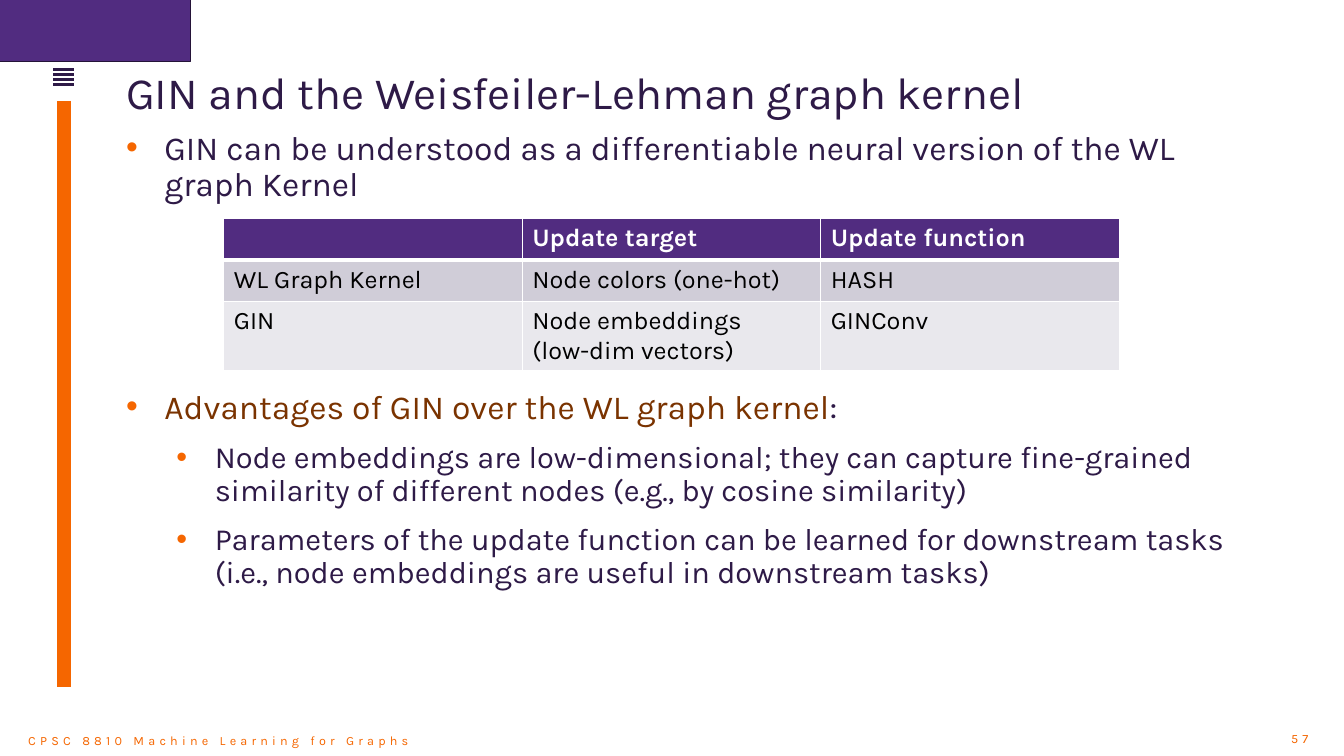
from lxml import etree
from pptx import Presentation
from pptx.dml.color import RGBColor
from pptx.enum.shapes import MSO_CONNECTOR, MSO_SHAPE
from pptx.enum.text import MSO_ANCHOR, MSO_AUTO_SIZE, PP_ALIGN
from pptx.oxml.ns import qn
from pptx.util import Inches, Pt

STRAIGHT = MSO_CONNECTOR.STRAIGHT
RECTANGLE = MSO_SHAPE.RECTANGLE
TOP, MIDDLE = MSO_ANCHOR.TOP, MSO_ANCHOR.MIDDLE
LEFT, CENTER = PP_ALIGN.LEFT, PP_ALIGN.CENTER
NO_AUTOSIZE = MSO_AUTO_SIZE.NONE
FONT = "Karla"
COLORS = {
    "purple": "512C80", "outline": "241338", "ink": "2E1A47", "orange": "F56600",
    "brown": "7A3300", "white": "FFFFFF", "black": "000000",
    "band_dark": "D0CDD8", "band_light": "E9E8ED",
}
ROWS = [
    ["", "Update target", "Update function"],
    ["WL Graph Kernel", "Node colors (one-hot)", "HASH"],
    ["GIN", "Node embeddings\n(low-dim vectors)", "GINConv"],
]
ROW_HEIGHTS = [0.41, 0.41, 0.69]
ROW_FILLS = ["purple", "band_dark", "band_light"]
INTRO = [
    (0, [("GIN can be understood as a differentiable neural version of the WL graph Kernel", "ink")]),
]
ADVANTAGES = [
    (0, [("Advantages of GIN over the WL graph kernel", "brown"), (":", "ink")]),
    (1, [("Node embeddings are low-dimensional; they can capture fine-grained "
          "similarity of different nodes (e.g., by cosine similarity)", "ink")]),
    (1, [("Parameters of the update function can be learned for downstream tasks "
          "(i.e., node embeddings are useful in downstream tasks)", "ink")]),
]


def rgb(name):
    """Return the named palette colour."""
    return RGBColor.from_string(COLORS[name])


def style_font(font, size, color, bold=False):
    """Set the typeface, size, colour and weight of a font."""
    font.name, font.size, font.bold = FONT, Pt(size), bold
    font.color.rgb = rgb(color)


def prepare_frame(frame, anchor=TOP, top_inset=0.0):
    """Remove insets and automatic sizing from a text frame."""
    frame.word_wrap = True
    frame.auto_size = NO_AUTOSIZE
    frame.vertical_anchor = anchor
    frame.margin_left = frame.margin_right = frame.margin_bottom = 0
    frame.margin_top = Inches(top_inset)


def add_line(slide, start, end, color, width):
    """Draw a straight line without a shadow."""
    line = slide.shapes.add_connector(STRAIGHT, *(Inches(value) for value in start + end))
    line.line.color.rgb = rgb(color)
    line.line.width = Pt(width)
    etree.SubElement(line._element.spPr, qn("a:effectLst"))


def add_side_decoration(slide, left, top):
    """Draw the corner block, the menu icon and the vertical bar."""
    block = slide.shapes.add_shape(
        RECTANGLE, Inches(left), Inches(top), Inches(1.9), Inches(0.62))
    block.shadow.inherit = False
    block.fill.solid()
    block.fill.fore_color.rgb = rgb("purple")
    block.line.color.rgb = rgb("outline")
    block.line.width = Pt(1)
    icon_left = left + 0.54
    for index in range(4):
        y = top + 0.7 + 0.05 * index
        add_line(slide, (icon_left, y), (icon_left + 0.2, y), "ink", 1.75)
    bar_x = icon_left + 0.1
    add_line(slide, (bar_x, top + 1.01), (bar_x, top + 6.83), "orange", 10)


def add_footer_text(slide, box, text, alignment):
    """Place a small letter-spaced footer text."""
    footer = slide.shapes.add_textbox(*(Inches(value) for value in box))
    frame = footer.text_frame
    prepare_frame(frame, MIDDLE, 0.05)
    frame.text = text
    paragraph = frame.paragraphs[0]
    paragraph.alignment = alignment
    run = paragraph.runs[0]
    style_font(run.font, 9, "orange")
    run.font._element.set("spc", "300")


def add_title(slide, box, text):
    """Move and format the title placeholder."""
    title = slide.shapes.title
    title.left, title.top, title.width, title.height = (Inches(value) for value in box)
    frame = title.text_frame
    prepare_frame(frame)
    frame.text = text
    paragraph = frame.paragraphs[0]
    paragraph.alignment = LEFT
    paragraph.line_spacing = 0.9
    style_font(paragraph.runs[0].font, 32, "ink")


def add_bullet(paragraph, level):
    """Give a paragraph an orange bullet and a hanging indent."""
    properties = paragraph._p.get_or_add_pPr()
    properties.set("marL", str(Inches(0.38 + 0.5 * level)))
    properties.set("indent", str(Inches(-0.38)))
    bullet_color = etree.SubElement(properties, qn("a:buClr"))
    etree.SubElement(bullet_color, qn("a:srgbClr"), val=COLORS["orange"])
    etree.SubElement(properties, qn("a:buFont"), typeface="Arial")
    etree.SubElement(properties, qn("a:buChar"), char="•")


def add_bullet_list(slide, box, items):
    """Write bulleted paragraphs from (level, runs) items."""
    frame = slide.shapes.add_textbox(*(Inches(value) for value in box)).text_frame
    prepare_frame(frame)
    for index, (level, parts) in enumerate(items):
        paragraph = frame.add_paragraph() if index else frame.paragraphs[0]
        paragraph.level = level
        add_bullet(paragraph, level)
        paragraph.line_spacing = 0.9
        paragraph.space_before = Pt(5 * level)
        paragraph.space_after = Pt(6)
        for text, color in parts:
            run = paragraph.add_run()
            run.text = text
            style_font(run.font, 24 - 2 * level, color)


def set_borders(cell, row):
    """Draw white cell borders with a thick rule under the header row."""
    widths = {"L": 1, "R": 1, "T": 3 if row == 1 else 1, "B": 3 if row == 0 else 1}
    properties = cell._tc.get_or_add_tcPr()
    for position, (side, width) in enumerate(widths.items()):
        border = etree.Element(qn(f"a:ln{side}"), w=str(Pt(width)))
        fill = etree.SubElement(border, qn("a:solidFill"))
        etree.SubElement(fill, qn("a:srgbClr"), val=COLORS["white"])
        properties.insert(position, border)


def add_comparison_table(slide, left, top, width):
    """Build the table comparing the WL kernel with GIN."""
    table = slide.shapes.add_table(
        len(ROWS), len(ROWS[0]), Inches(left), Inches(top),
        Inches(width), Inches(sum(ROW_HEIGHTS))).table
    for column in table.columns:
        column.width = Inches(width / len(ROWS[0]))
    for row, texts in enumerate(ROWS):
        table.rows[row].height = Inches(ROW_HEIGHTS[row])
        for column, text in enumerate(texts):
            cell = table.cell(row, column)
            cell.fill.solid()
            cell.fill.fore_color.rgb = rgb(ROW_FILLS[row])
            set_borders(cell, row)
            cell.text_frame.text = text
            for paragraph in cell.text_frame.paragraphs:
                for run in paragraph.runs:
                    style_font(run.font, 18, "black" if row else "white", row == 0)


def main():
    """Build and save the slide."""
    presentation = Presentation()
    presentation.slide_width, presentation.slide_height = Inches(13.33), Inches(7.5)
    slide = presentation.slides.add_slide(presentation.slide_layouts[5])
    add_side_decoration(slide, -0.01, -0.01)
    add_footer_text(slide, (0.28, 7.14, 3.97, 0.36),
                    "CPSC 8810 Machine Learning for Graphs", LEFT)
    add_footer_text(slide, (12.73, 7.17, 0.32, 0.26), "57", CENTER)
    add_title(slide, (1.25, 0.7, 11.5, 0.48), "GIN and the Weisfeiler-Lehman graph kernel")
    add_bullet_list(slide, (1.25, 1.3, 11.05, 0.8), INTRO)
    add_comparison_table(slide, 2.22, 2.17, 8.88)
    add_bullet_list(slide, (1.25, 3.87, 11.05, 2.48), ADVANTAGES)
    presentation.save("out.pptx")


if __name__ == "__main__":
    main()
